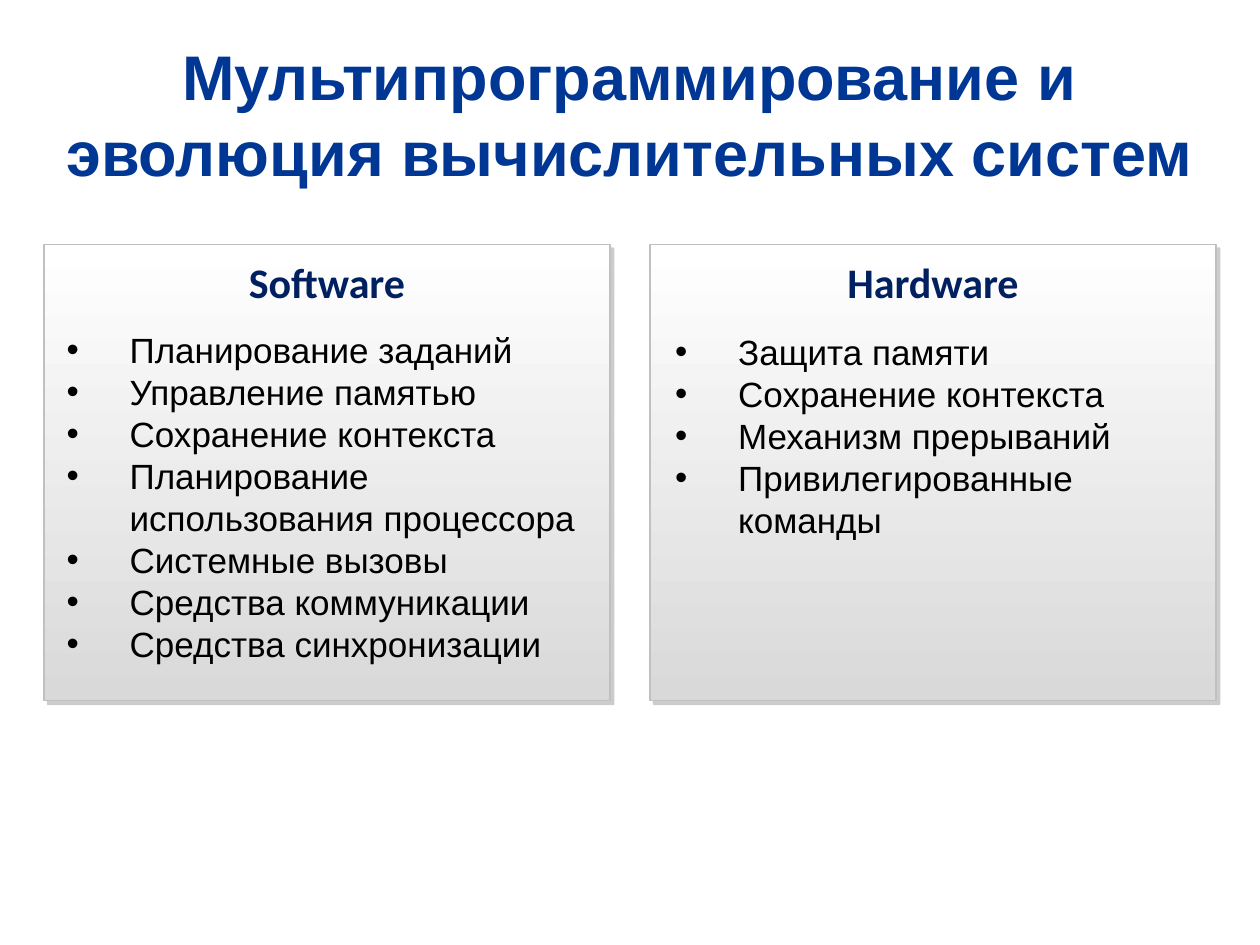
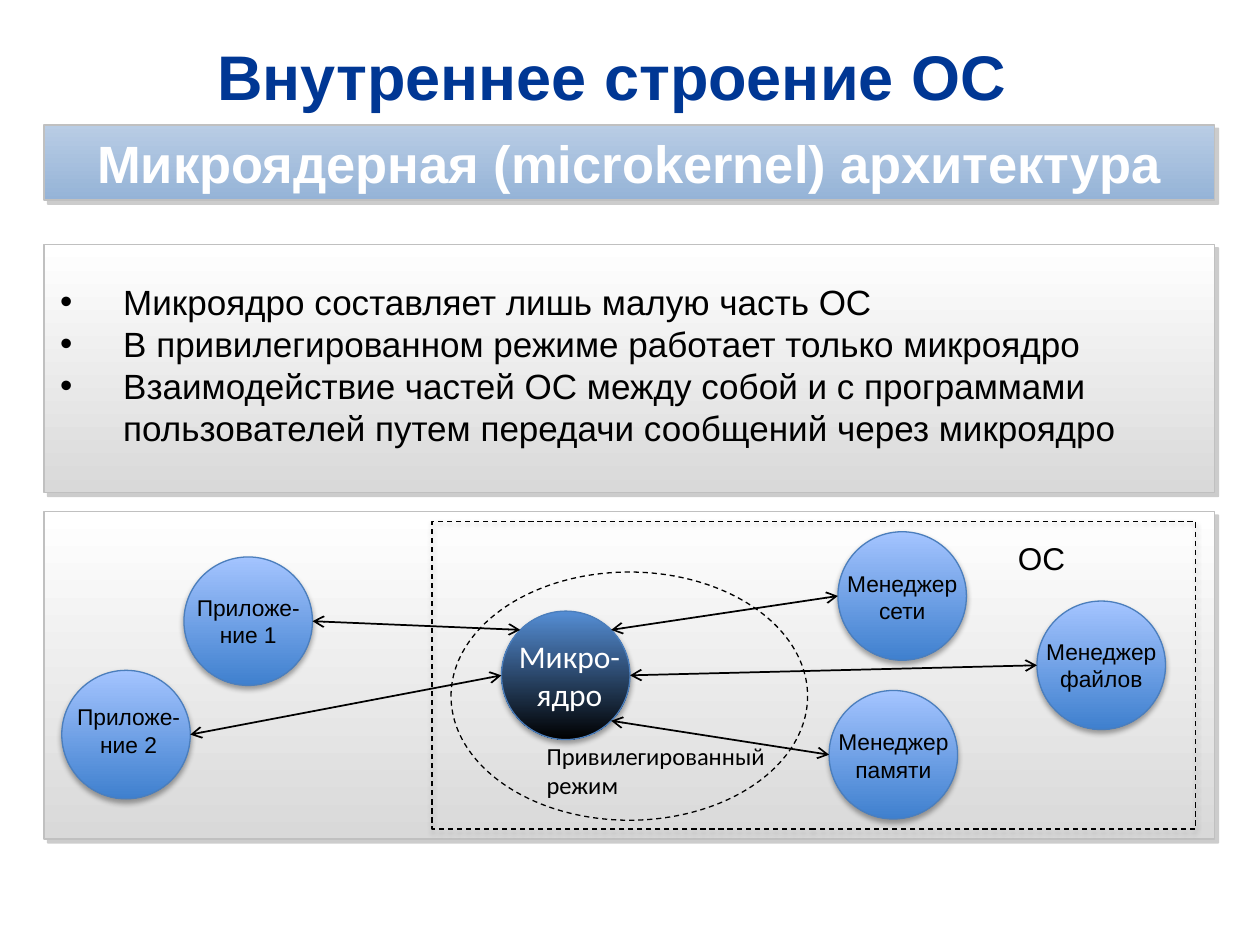
"""Build two slides on multiprogramming and microkernel architecture."""
from math import cos, radians, sin

from pptx import Presentation
from pptx.dml.color import RGBColor as RGB
from pptx.enum.dml import MSO_LINE as DASH
from pptx.enum.shapes import MSO_CONNECTOR as CONN, MSO_SHAPE as SHAPE
from pptx.enum.text import MSO_ANCHOR as ANCHOR, PP_ALIGN as ALIGN
from pptx.oxml.ns import qn
from pptx.util import Inches, Pt
from lxml.etree import SubElement

COLORS = {
    "title": "003794", "heading": "002060", "text": "000000", "white": "FFFFFF",
    "panel_top": "FFFFFF", "panel_end": "D9D9D9", "panel_line": "C0C0C0",
    "band_top": "B9CDE5", "band_end": "95B3D7",
    "node_top": "A4C4FF", "node_end": "3F80CE", "node_line": "4B7EBC",
    "kernel_top": "558ED5", "kernel_end": "000000", "panel_shadow": "808080",
}
STYLES = {
    "title": {"name": "Arial", "size": 36, "bold": True, "color": "title"},
    "band": {"name": "Arial", "size": 30, "bold": True, "color": "white"},
    "heading": {"name": "Calibri", "size": 24, "bold": True, "color": "heading"},
    "bullet": {"name": "Arial", "size": 20, "color": "text"},
    "kernel": {"name": "Calibri", "size": 18, "color": "white"},
    "system": {"name": "Arial", "size": 18, "color": "text"},
    "mode": {"name": "Calibri", "size": 14, "color": "text"},
    "node": {"name": "Arial", "size": 13, "color": "text"},
}
SHADOWS = {
    "panel": ("panel_shadow", 40, 0, 3, 45),
    "node": ("text", 35, 3.1, 1.8, 90),
}
LEFT, WIDTH, TOP = 0.35, 9.29, 1.94
PANEL_W, PANEL_STEP = 4.49, 4.81
NODE = 1.02

COLUMNS = [
    ("Software", (0.43, 2.56, 4.38, 3.1), [
        "Планирование заданий", "Управление памятью", "Сохранение контекста",
        "Планирование использования процессора", "Системные вызовы",
        "Средства коммуникации", "Средства синхронизации"]),
    ("Hardware", (5.26, 2.57, 4.38, 1.78), [
        "Защита памяти", "Сохранение контекста", "Механизм прерываний",
        "Привилегированные команды"]),
]
FEATURES = [
    "Микроядро составляет лишь малую часть ОС",
    "В привилегированном режиме работает только микроядро",
    "Взаимодействие частей ОС между собой и с программами "
    "пользователей путем передачи сообщений через микроядро",
]
KERNEL = (3.98, 4.85)
NODES = [
    ("Менеджер сети", (6.65, 4.22), (6.57, 4.47), -45, 180),
    ("Менеджер файлов", (8.23, 4.77), (8.15, 5.01), 0, 180),
    ("Менеджер памяти", (6.58, 5.48), (6.5, 5.73), 45, 180),
    ("Приложе-ние 1", (1.46, 4.42), (1.38, 4.66), -135, 0),
    ("Приложе-ние 2", (0.49, 5.32), (0.43, 5.53), 180, 0),
]


def rgb(key):
    return RGB.from_string(COLORS[key])


def write(sp, lines, style, align=ALIGN.CENTER, anchor=ANCHOR.TOP, bullet=False):
    tf = sp.text_frame
    tf.word_wrap = True
    tf.vertical_anchor = anchor
    for i, line in enumerate(lines):
        p = tf.paragraphs[0] if i == 0 else tf.add_paragraph()
        p.alignment = align
        if bullet:
            pPr = p._p.get_or_add_pPr()
            pPr.set("marL", str(Inches(0.5)))
            pPr.set("indent", str(-Inches(0.5)))
            SubElement(pPr, qn("a:buFont"), typeface="Arial")
            SubElement(pPr, qn("a:buChar"), char="•")
        r = p.add_run()
        r.text = line
        for key, value in STYLES[style].items():
            if key == "color":
                r.font.color.rgb = rgb(value)
            else:
                setattr(r.font, key, Pt(value) if key == "size" else value)
    return tf


def add_text(s, box, lines, style, **options):
    return write(s.shapes.add_textbox(*map(Inches, box)), lines, style, **options)


def add_bullets(s, box, lines):
    add_text(s, box, lines, "bullet", align=ALIGN.LEFT, bullet=True)


def add_shadow(sp, kind):
    color, alpha, blur, dist, angle = SHADOWS[kind]
    effects = sp._element.spPr.find(qn("a:effectLst"))
    shadow = SubElement(effects, qn("a:outerShdw"), blurRad=str(Pt(blur)),
                        dist=str(Pt(dist)), dir=str(angle * 60000),
                        algn="ctr", rotWithShape="0")
    clr = SubElement(shadow, qn("a:srgbClr"), val=COLORS[color])
    SubElement(clr, qn("a:alpha"), val=str(alpha * 1000))


def add_shape(s, kind, box, line, width, fill=None, shadow=None, dash=None):
    sp = s.shapes.add_shape(kind, *map(Inches, box))
    if fill:
        sp.fill.gradient()
        sp.fill.gradient_angle = 270
        for stop, part in zip(sp.fill.gradient_stops, ("top", "end")):
            stop.color.rgb = rgb(f"{fill}_{part}")
    else:
        sp.fill.background()
    sp.line.color.rgb = rgb(line)
    sp.line.width = Pt(width)
    if dash:
        sp.line.dash_style = dash
    sp.shadow.inherit = False
    if shadow:
        add_shadow(sp, shadow)
    return sp


def add_panel(s, box, fill="panel"):
    return add_shape(s, SHAPE.RECTANGLE, box, "panel_line", 1, fill, "panel")


def add_node(s, at, fill="node"):
    add_shape(s, SHAPE.OVAL, (*at, NODE, NODE), "node_line", 0.75, fill, "node")


def rim(at, angle):
    a, radius = radians(angle), NODE / 2
    return at[0] + radius * (1 + cos(a)), at[1] + radius * (1 + sin(a))


def add_arrow(s, start, end):
    c = s.shapes.add_connector(CONN.STRAIGHT, *map(Inches, (*start, *end)))
    c.line.color.rgb = rgb("text")
    c.line.width = Pt(1)
    spPr = c._element.spPr
    for tip in ("a:headEnd", "a:tailEnd"):
        SubElement(spPr.find(qn("a:ln")), qn(tip), type="arrow")
    SubElement(spPr, qn("a:effectLst"))


def add_slide(prs, title, height, right=0.1):
    s = prs.slides.add_slide(prs.slide_layouts[6])
    tf = add_text(s, (LEFT, 0.26, WIDTH, height), [title], "title", anchor=ANCHOR.MIDDLE)
    tf.margin_right = Inches(right)
    return s


def build_evolution(prs):
    s = add_slide(prs, "Мультипрограммирование и эволюция вычислительных систем", 1.28)
    for i, (heading, box, items) in enumerate(COLUMNS):
        x = LEFT + i * PANEL_STEP
        add_panel(s, (x, TOP, PANEL_W, 3.62))
        add_text(s, (x + 0.15, 1.99, 4.19, 0.5), [heading], "heading")
        add_bullets(s, box, items)


def build_microkernel(prs):
    s = add_slide(prs, "Внутреннее строение ОС", 0.68, right=0.38)
    add_panel(s, (LEFT, TOP, WIDTH, 1.97))
    add_bullets(s, (0.38, 2.18, 9.27, 1.45), FEATURES)
    add_panel(s, (LEFT, 4.06, WIDTH, 2.6))
    band = add_panel(s, (LEFT, 0.99, WIDTH, 0.6), "band")
    tf = write(band, ["Микроядерная (microkernel) архитектура"], "band",
               anchor=ANCHOR.MIDDLE)
    margins = {"left": 0.24, "top": 0.04, "right": 0.24, "bottom": 0.04}
    for side, value in margins.items():
        setattr(tf, f"margin_{side}", Inches(value))

    add_node(s, KERNEL, "kernel")
    for _, at, *_ in NODES:
        add_node(s, at)
    add_text(s, (3.98, 5.01, 1.08, 0.71), ["Микро-", "ядро"], "kernel")
    add_shape(s, SHAPE.OVAL, (3.58, 4.54, 2.83, 1.97), "text", 0.75, dash=DASH.DASH)
    add_text(s, (4.24, 5.83, 2.2, 0.57), ["Привилегированный режим"], "mode",
             align=ALIGN.LEFT)
    for label, _, label_at, *_ in NODES:
        add_text(s, (*label_at, 1.18, 0.54), [label], "node")
    add_shape(s, SHAPE.RECTANGLE, (3.43, 4.14, 6.06, 2.44), "text", 0.75,
              shadow="node", dash=DASH.DASH)
    add_text(s, (7.98, 4.23, 0.79, 0.4), ["ОС"], "system", align=ALIGN.LEFT)
    for _, at, _, kernel_angle, node_angle in NODES:
        add_arrow(s, rim(KERNEL, kernel_angle), rim(at, node_angle))


def main():
    prs = Presentation()
    prs.slide_width, prs.slide_height = Inches(10), Inches(7.5)
    build_evolution(prs)
    build_microkernel(prs)
    prs.save("out.pptx")


if __name__ == "__main__":
    main()
